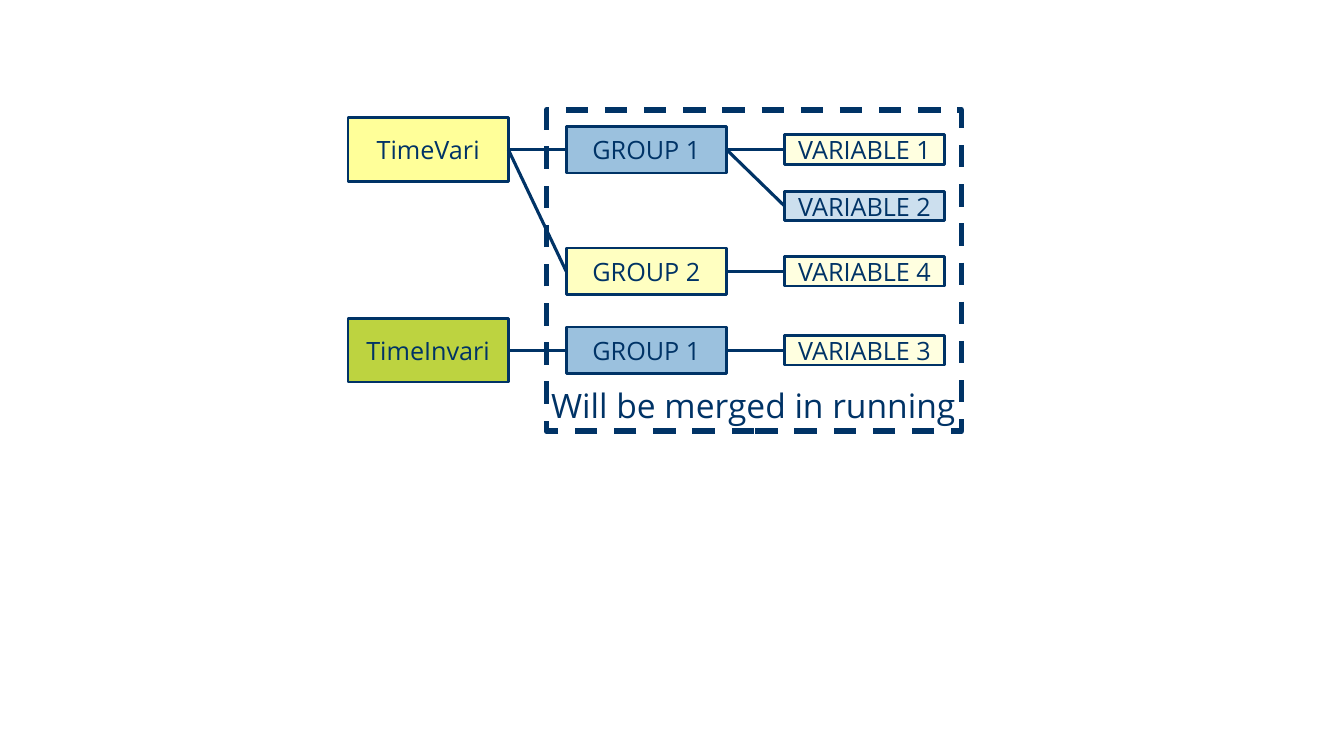
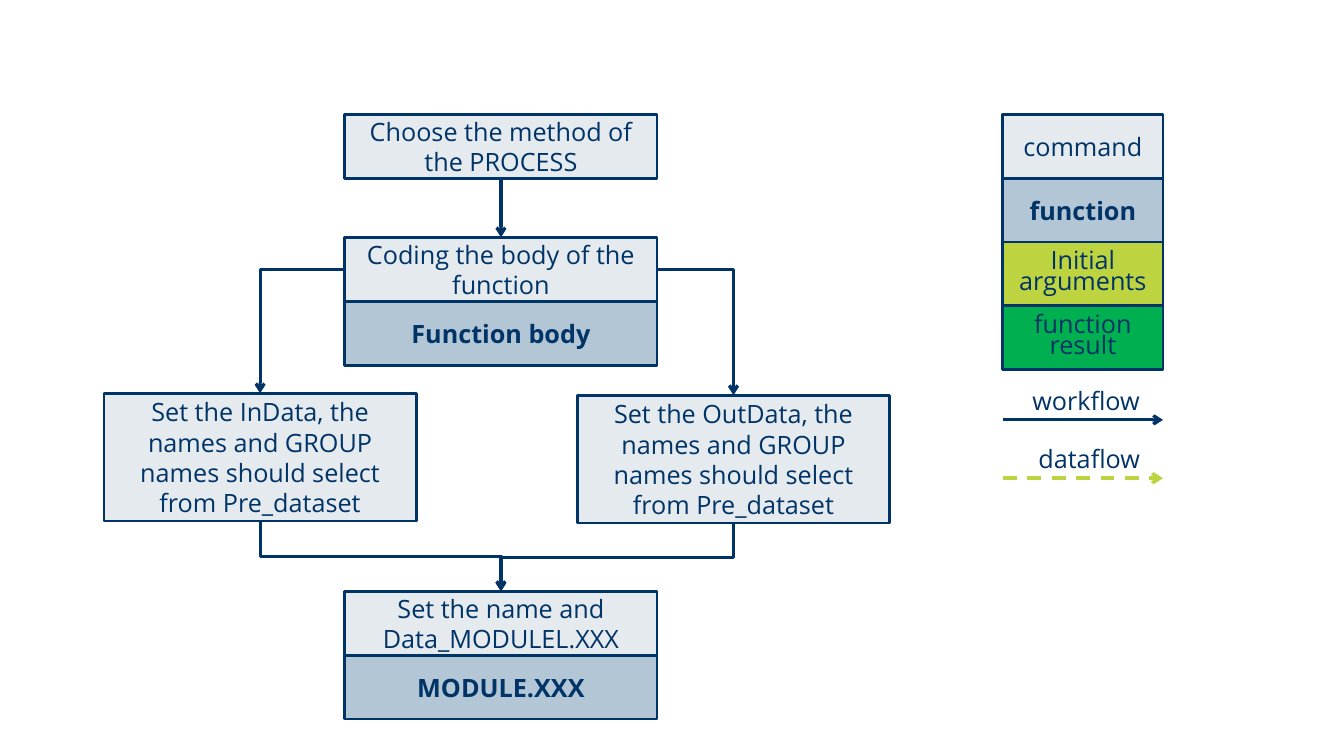
from dataclasses import dataclass

from lxml import etree
from pptx import Presentation
from pptx.dml.color import RGBColor
from pptx.enum import dml, shapes as kinds, text as styles
from pptx.oxml.ns import qn
from pptx.util import Cm, Pt


@dataclass(frozen=True)
class Theme:
    font: str = "Open Sans"
    navy: str = "003366"
    green: str = "BDD340"
    # Fills are (colour, opacity in percent)
    yellow: tuple = ("FFFF99", 100)
    mid_yellow: tuple = ("FFFF99", 60)
    pale_yellow: tuple = ("FFFF99", 30)
    mid_blue: tuple = ("5998C9", 60)
    pale_blue: tuple = ("5998C9", 30)
    argument: tuple = ("BDD340", 100)
    result: tuple = ("00B050", 100)
    command: tuple = ("003366", 10)
    function: tuple = ("B3C6D5", 100)
    body_size: float = 18
    caption_size: float = 24
    border: float = 2
    link: float = 2.25
    dataflow: float = 2.5
    frame: float = 4


theme = Theme()
TOP, LEFT, BOTTOM, RIGHT = range(4)  # connection sites of a rectangle


def add_box(shapes, text, left, top, width, height, fill=None,
            size=theme.body_size, spacing=None):
    """Add a filled, bordered box, or a plain text box when there is no fill."""
    place = Cm(left), Cm(top), Cm(width), Cm(height)
    if fill:
        shape = shapes.add_shape(kinds.MSO_SHAPE.RECTANGLE, *place)
        shape.shadow.inherit = False
        color, opacity = fill
        shape.fill.solid()
        shape.fill.fore_color.rgb = RGBColor.from_string(color)
        if opacity < 100:
            color_element = shape.element.spPr.find(qn("a:solidFill"))[0]
            etree.SubElement(color_element, qn("a:alpha"), val=str(opacity * 1000))
        shape.line.color.rgb = RGBColor.from_string(theme.navy)
        shape.line.width = Pt(theme.border)
    else:
        shape = shapes.add_textbox(*place)
    frame = shape.text_frame
    frame.word_wrap = True
    frame.vertical_anchor = styles.MSO_ANCHOR.MIDDLE
    frame.text = text
    paragraph = frame.paragraphs[0]
    paragraph.alignment = styles.PP_ALIGN.CENTER
    paragraph.line_spacing = spacing
    paragraph.font.name = theme.font
    paragraph.font.size = Pt(size)
    paragraph.font.bold = fill == theme.function
    paragraph.font.color.rgb = RGBColor.from_string(theme.navy)
    return shape


def style_line(connector, color=theme.navy, width=theme.link, arrow=True, dashed=False):
    connector.line.color.rgb = RGBColor.from_string(color)
    connector.line.width = Pt(width)
    if dashed:
        connector.line.dash_style = dml.MSO_LINE.DASH
    properties = connector.element.spPr
    if arrow:
        etree.SubElement(properties.find(qn("a:ln")), qn("a:tailEnd"), type="arrow")
    etree.SubElement(properties, qn("a:effectLst"))


presentation = Presentation()
presentation.slide_width, presentation.slide_height = Cm(33.87), Cm(19.05)
blank = presentation.slide_layouts[6]

# Slide 1: tree of datasets, groups and variables
slide = presentation.slides.add_slide(blank)
column_left, column_pitch, box_width = 8.77, 5.5, 4.04
column_heights = (1.6, 1.18, 0.74)
tree = {  # key: (text, column, centre height, fill, parent)
    "varying": ("TimeVari", 0, 3.77, theme.yellow, None),
    "invariant": ("TimeInvari", 0, 8.83, theme.argument, None),
    "group 1": ("GROUP 1", 1, 3.77, theme.mid_blue, "varying"),
    "group 2": ("GROUP 2", 1, 6.84, theme.mid_yellow, "varying"),
    "fixed group": ("GROUP 1", 1, 8.83, theme.mid_blue, "invariant"),
    "variable 1": ("VARIABLE 1", 2, 3.77, theme.pale_yellow, "group 1"),
    "variable 2": ("VARIABLE 2", 2, 5.19, theme.pale_blue, "group 1"),
    "variable 4": ("VARIABLE 4", 2, 6.84, theme.pale_yellow, "group 2"),
    "variable 3": ("VARIABLE 3", 2, 8.83, theme.pale_yellow, "fixed group"),
}
nodes = {}
for key, (text, column, center, fill, parent) in tree.items():
    height = column_heights[column]
    nodes[key] = add_box(slide.shapes, text, column_left + column * column_pitch,
                         center - height / 2, box_width, height, fill)
    if parent:
        connector = slide.shapes.add_connector(kinds.MSO_CONNECTOR.STRAIGHT, 0, 0, 0, 0)
        connector.begin_connect(nodes[key], LEFT)
        connector.end_connect(nodes[parent], RIGHT)
        style_line(connector, arrow=False)

# Dashed frame with its caption
merge_frame = slide.shapes.add_shape(kinds.MSO_SHAPE.RECTANGLE,
                                     Cm(13.77), Cm(2.77), Cm(10.46), Cm(8.1))
merge_frame.shadow.inherit = False
merge_frame.fill.background()
merge_frame.line.color.rgb = RGBColor.from_string(theme.navy)
merge_frame.line.width = Pt(theme.frame)
merge_frame.line.dash_style = dml.MSO_LINE.DASH
caption = add_box(slide.shapes, "Will be merged in running", 13.64, 9.58, 10.9, 1.27,
                  size=theme.caption_size)
caption.text_frame.paragraphs[0].alignment = styles.PP_ALIGN.LEFT

# Slide 2: workflow steps
slide = presentation.slides.add_slide(blank)
main_left, step_width, row_height = 8.69, 7.87, 1.61
steps = {  # key: (text, left, top, rows, fill)
    "choose": ("Choose the method of the PROCESS", main_left, 2.88, 1, theme.command),
    "coding": ("Coding the body of the function", main_left, 5.98, 1, theme.command),
    "body": ("Function body", main_left, 7.6, 1, theme.function),
    "input": ("Set the InData, the names and GROUP names should select from Pre_dataset",
              2.62, 9.91, 2, theme.command),
    "output": ("Set the OutData, the names and GROUP names should select from Pre_dataset",
               14.55, 9.96, 2, theme.command),
    "name": ("Set the name and Data_MODULEL.XXX", main_left, 14.9, 1, theme.command),
    "module": ("MODULE.XXX", main_left, 16.51, 1, theme.function),
}
nodes = {key: add_box(slide.shapes, text, left, top, step_width, rows * row_height, fill)
         for key, (text, left, top, rows, fill) in steps.items()}

# Workflow arrows
flows = (
    ("choose", BOTTOM, "coding", "line"),
    ("coding", LEFT, "input", "bentConnector2"),
    ("coding", RIGHT, "output", "bentConnector2"),
    ("input", BOTTOM, "name", "bentConnector3"),
    ("output", BOTTOM, "name", "bentConnector3"),
)
for source, site, target, preset in flows:
    connector = slide.shapes.add_connector(kinds.MSO_CONNECTOR.STRAIGHT, 0, 0, 0, 0)
    connector.begin_connect(nodes[source], site)
    connector.end_connect(nodes[target], TOP)
    properties = connector.element.spPr
    properties.find(qn("a:prstGeom")).set("prst", preset)
    if preset == "bentConnector3":
        # Turn the connector so that it leaves and arrives vertically
        rightward = connector.end_x > connector.begin_x
        width, height = connector.width, connector.height
        connector.left += (width - height) // 2
        connector.top += (height - width) // 2
        connector.width, connector.height = height, width
        transform = properties.find(qn("a:xfrm"))
        transform.set("rot", str((270 if rightward else 90) * 60000))
        transform.set("flipH", "1" if rightward else "0")
    style_line(connector)

# Legend
legend = slide.shapes.add_group_shape().shapes
legend_left, legend_top = 25.27, 2.88
entries = (
    ("command", theme.command, None),
    ("function", theme.function, None),
    ("Initial arguments", theme.argument, 0.7),
    ("function result", theme.result, 0.7),
)
for row, (text, fill, spacing) in enumerate(entries):
    add_box(legend, text, legend_left, legend_top + row * row_height,
            box_width, row_height, fill, spacing=spacing)

line_kinds = (
    ("workflow", 25.35, 10.58, theme.navy, theme.link, False),
    ("dataflow", 25.43, 12.05, theme.green, theme.dataflow, True),
)
for text, label_left, line_top, color, width, dashed in line_kinds:
    connector = legend.add_connector(
        kinds.MSO_CONNECTOR.STRAIGHT, Cm(legend_left), Cm(line_top),
        Cm(legend_left + box_width), Cm(line_top))
    style_line(connector, color, width, dashed=dashed)
    add_box(legend, text, label_left, line_top - 0.87, box_width, 0.76)

presentation.save("out.pptx")
